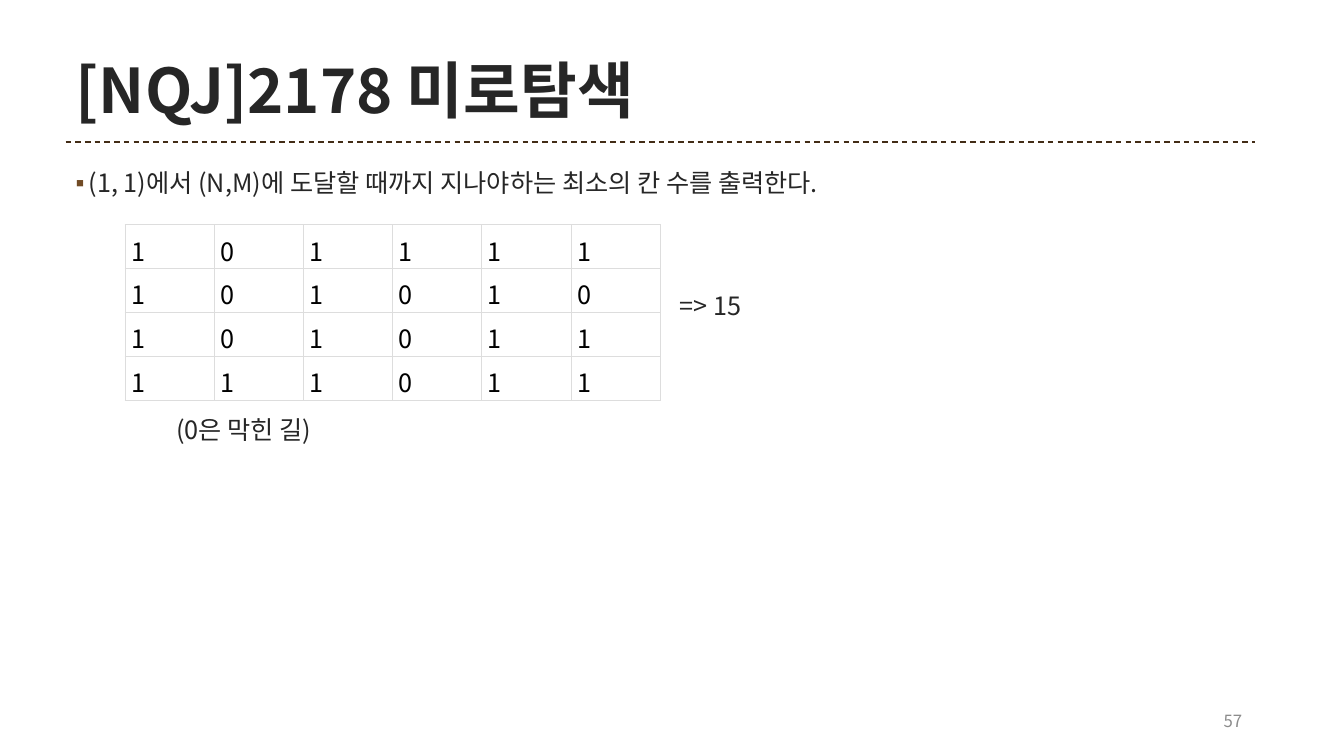
from lxml import etree
from pptx import Presentation
from pptx.dml.color import RGBColor
from pptx.enum.dml import MSO_LINE
from pptx.enum.shapes import MSO_CONNECTOR
from pptx.enum.text import MSO_ANCHOR, MSO_AUTO_SIZE, PP_ALIGN
from pptx.oxml import parse_xml
from pptx.oxml.ns import nsdecls, qn
from pptx.util import Inches, Pt

FONT = "Noto Sans CJK KR"
COLORS = {"ink": "262626", "rule": "422C16", "bullet": "714B25", "number": "8C8C8C",
          "cell": "000000", "grid": "DDDDDD", "paper": "FFFFFF"}
MAZE = ["101111", "101010", "101011", "111011"]
# text, left indent in inches, space before in points
BODY = [("(1, 1)에서 (N,M)에 도달할 때까지 지나야하는 최소의 칸 수를 출력한다.", 0.13, 10),
        ("=> 15", 5.99, 68.8),
        ("(0은 막힌 길)", 1, 68.8)]


def add_run(p, text, size, color, bold=False):
    r = p.add_run()
    r.text = text
    for name, value in {"name": FONT, "size": Pt(size), "bold": bold}.items():
        setattr(r.font, name, value)
    r.font.color.rgb = RGBColor.from_string(COLORS[color])
    etree.SubElement(r._r.rPr, qn("a:ea"), typeface=FONT)
    return r


def place(sp, left, top, width, height, anchor):
    """Set the box of a text shape and make its text wrap without resizing."""
    box = {"left": left, "top": top, "width": width, "height": height}
    for name, value in box.items():
        setattr(sp, name, Inches(value))
    tf = sp.text_frame
    frame = {"word_wrap": True, "auto_size": MSO_AUTO_SIZE.NONE, "vertical_anchor": anchor}
    for name, value in frame.items():
        setattr(tf, name, value)
    return tf


prs = Presentation()
prs.slide_width, prs.slide_height = Inches(13.33), Inches(7.5)
slide = prs.slides.add_slide(prs.slide_layouts[1])
title, body = slide.placeholders

# Title with a thin white outline
p = place(title, 0.65, 0.46, 8.98, 0.84, MSO_ANCHOR.MIDDLE).paragraphs[0]
p.alignment = PP_ALIGN.LEFT
r = add_run(p, "[NQJ]2178 미로탐색", 44, "ink", bold=True)
r._r.rPr.insert(0, parse_xml(
    f'<a:ln w="9525" {nsdecls("a")}><a:solidFill>'
    f'<a:srgbClr val="{COLORS["paper"]}"/></a:solidFill></a:ln>'))

# Dashed rule under the title
rule = slide.shapes.add_connector(MSO_CONNECTOR.STRAIGHT, Inches(0.65), Inches(1.41),
                                  Inches(12.45), Inches(1.41))
rule.line.color.rgb = RGBColor.from_string(COLORS["rule"])
rule.line.width = Pt(1)
rule.line.dash_style = MSO_LINE.DASH
etree.SubElement(rule._element.spPr, qn("a:effectLst"))

# Task, answer and note
tf = place(body, 0.65, 1.64, 11.8, 4.95, MSO_ANCHOR.TOP)
for i, (text, indent, before) in enumerate(BODY):
    p = tf.add_paragraph() if i else tf.paragraphs[0]
    p.line_spacing = 0.9
    p.space_before = Pt(before)
    pPr = p._p.get_or_add_pPr()
    pPr.set("marL", str(Inches(indent)))
    if i:
        pPr.set("indent", "0")
        etree.SubElement(pPr, qn("a:buNone"))
    else:
        pPr.set("indent", str(-Inches(indent)))
        color = etree.SubElement(pPr, qn("a:buClr"))
        etree.SubElement(color, qn("a:srgbClr"), val=COLORS["bullet"])
        etree.SubElement(pPr, qn("a:buChar"), char="▪")
    r = add_run(p, text, 18, "ink")
    r._r.rPr.set("kern", "0")

# Slide number
number = slide.shapes.add_textbox(0, 0, 0, 0)
p = place(number, 9.42, 6.95, 3, 0.4, MSO_ANCHOR.MIDDLE).paragraphs[0]
p.alignment = PP_ALIGN.RIGHT
add_run(p, "57", 12, "number")

# Maze grid
rows, cols = len(MAZE), len(MAZE[0])
table = slide.shapes.add_table(rows, cols, Inches(1.24), Inches(2.23),
                               Inches(5.31), Inches(1.74)).table
table.first_row = table.horz_banding = False
margins = {"margin_left": 0.06, "margin_right": 0.07, "margin_top": 0.07, "margin_bottom": 0}
for y, line in enumerate(MAZE):
    for x, digit in enumerate(line):
        cell = table.cell(y, x)
        for name, value in margins.items():
            setattr(cell, name, Inches(value))
        add_run(cell.text_frame.paragraphs[0], digit, 18, "cell")
        tcPr = cell._tc.get_or_add_tcPr()
        for side in ("lnL", "lnR", "lnT", "lnB"):
            border = etree.SubElement(tcPr, qn(f"a:{side}"), w=str(Pt(0.6)))
            fill = etree.SubElement(border, qn("a:solidFill"))
            etree.SubElement(fill, qn("a:srgbClr"), val=COLORS["grid"])
        cell.fill.solid()
        cell.fill.fore_color.rgb = RGBColor.from_string(COLORS["paper"])

prs.save("out.pptx")
